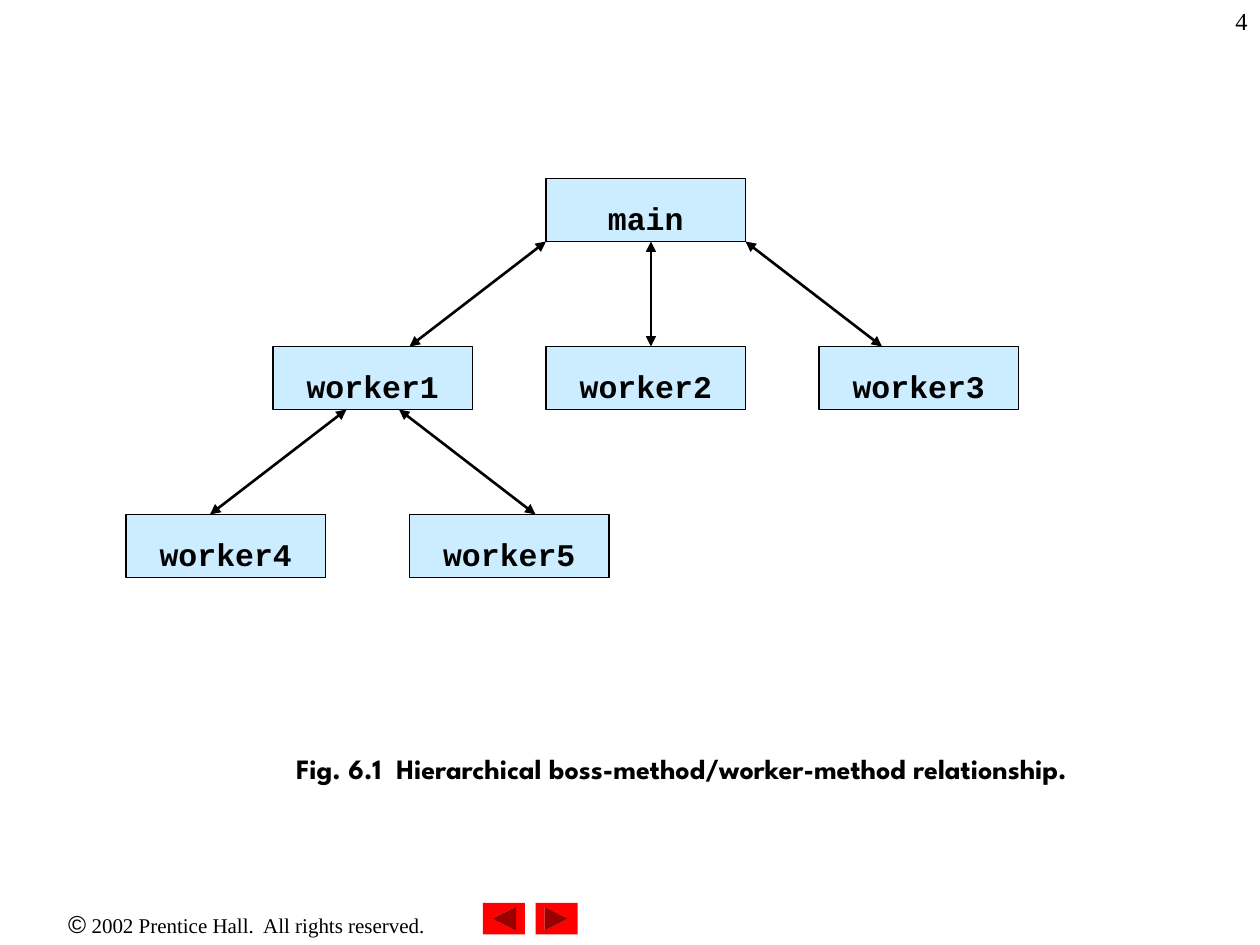
from lxml import etree
from pptx import Presentation
from pptx.dml.color import RGBColor
from pptx.enum import shapes, text
from pptx.oxml import ns
from pptx.util import Pt

BLACK = RGBColor(0, 0, 0)
PALE_BLUE = RGBColor(0xCC, 0xEC, 0xFF)
RED = RGBColor(0xFF, 0, 0)

CAPTION = "Fig. 6.1  Hierarchical boss-method/worker-method relationship."
COPYRIGHT = [("©", "Arial", 14),
             (" 2002 Prentice Hall.  All rights reserved.", "Times New Roman", 12)]
PAGE_NUMBER = "4"
METHODS = {
    "main": (312, 0),
    "worker1": (156, 1),
    "worker2": (312, 1),
    "worker3": (468, 1),
    "worker4": (72, 2),
    "worker5": (234, 2),
}
CALLS = [
    ("main", 0, "worker1", 78),
    ("main", 60, "worker2", 60),
    ("main", 114, "worker3", 36),
    ("worker1", 42, "worker4", 48),
    ("worker1", 72, "worker5", 72),
]
BUTTONS = [(276, 180), (306, 0)]
BOX_WIDTH, BOX_HEIGHT = 114, 36
FIRST_ROW, ROW_STEP = 102, 96


def row_top(row):
    return FIRST_ROW + row * ROW_STEP


def set_font(font, name, size, bold=False):
    font.name, font.size, font.bold = name, Pt(size), bold
    font.color.rgb = BLACK


def place(shape, left, top, width, height):
    shape.left, shape.top = Pt(left), Pt(top)
    shape.width, shape.height = Pt(width), Pt(height)


def add_text_box(slide, left, top, width, height, align):
    box = slide.shapes.add_textbox(Pt(left), Pt(top), Pt(width), Pt(height))
    box.text_frame.word_wrap = True
    para = box.text_frame.paragraphs[0]
    para.alignment = align
    return para


def add_method(slide, name, left, row):
    box = slide.shapes.add_shape(shapes.MSO_SHAPE.RECTANGLE, Pt(left),
                                 Pt(row_top(row)), Pt(BOX_WIDTH), Pt(BOX_HEIGHT))
    box.shadow.inherit = False
    box.fill.solid()
    box.fill.fore_color.rgb = PALE_BLUE
    box.line.color.rgb = BLACK
    box.line.width = Pt(0.75)
    frame = box.text_frame
    frame.vertical_anchor = text.MSO_ANCHOR.MIDDLE
    frame.margin_top, frame.margin_bottom = Pt(9), 0
    para = frame.paragraphs[0]
    para.text = name
    para.alignment = text.PP_ALIGN.CENTER
    set_font(para.font, "Courier New", 18, True)


def add_call(slide, boss, boss_offset, worker, worker_offset):
    boss_left, boss_row = METHODS[boss]
    worker_left, worker_row = METHODS[worker]
    arrow = slide.shapes.add_connector(
        shapes.MSO_CONNECTOR.STRAIGHT,
        Pt(worker_left + worker_offset), Pt(row_top(worker_row)),
        Pt(boss_left + boss_offset), Pt(row_top(boss_row) + BOX_HEIGHT))
    arrow.line.color.rgb = BLACK
    arrow.line.width = Pt(1.5)
    line = arrow.line._get_or_add_ln()
    for end in ("a:headEnd", "a:tailEnd"):
        etree.SubElement(line, ns.qn(end), type="triangle")
    etree.SubElement(arrow._element.spPr, ns.qn("a:effectLst"))


def add_button(slide, left, rotation):
    button = slide.shapes.add_shape(shapes.MSO_SHAPE.ACTION_BUTTON_FORWARD_OR_NEXT,
                                    Pt(left), Pt(516), Pt(24), Pt(18))
    button.rotation = rotation
    button.shadow.inherit = False
    button.fill.solid()
    button.fill.fore_color.rgb = RED
    button.line.fill.background()


def main():
    deck = Presentation()
    deck.slide_width, deck.slide_height = Pt(720), Pt(540)
    slide = deck.slides.add_slide(deck.slide_layouts[5])

    caption = slide.shapes.title
    place(caption, 162, 426, 468, 24)
    frame = caption.text_frame
    frame.auto_size = text.MSO_AUTO_SIZE.NONE
    frame.vertical_anchor = text.MSO_ANCHOR.TOP
    para = frame.paragraphs[0]
    para.text = CAPTION
    para.alignment = text.PP_ALIGN.LEFT
    set_font(para.font, "League Spartan", 16, True)

    for name, (left, row) in METHODS.items():
        add_method(slide, name, left, row)
    for call in CALLS:
        add_call(slide, *call)

    para = add_text_box(slide, 0, 516, 282, 24, text.PP_ALIGN.CENTER)
    for words, font_name, size in COPYRIGHT:
        span = para.add_run()
        span.text = words
        set_font(span.font, font_name, size)
    for left, rotation in BUTTONS:
        add_button(slide, left, rotation)

    para = add_text_box(slide, 570, 0, 150, 36, text.PP_ALIGN.RIGHT)
    para.text = PAGE_NUMBER
    set_font(para.font, "Times New Roman", 14)

    deck.save("out.pptx")


if __name__ == "__main__":
    main()
